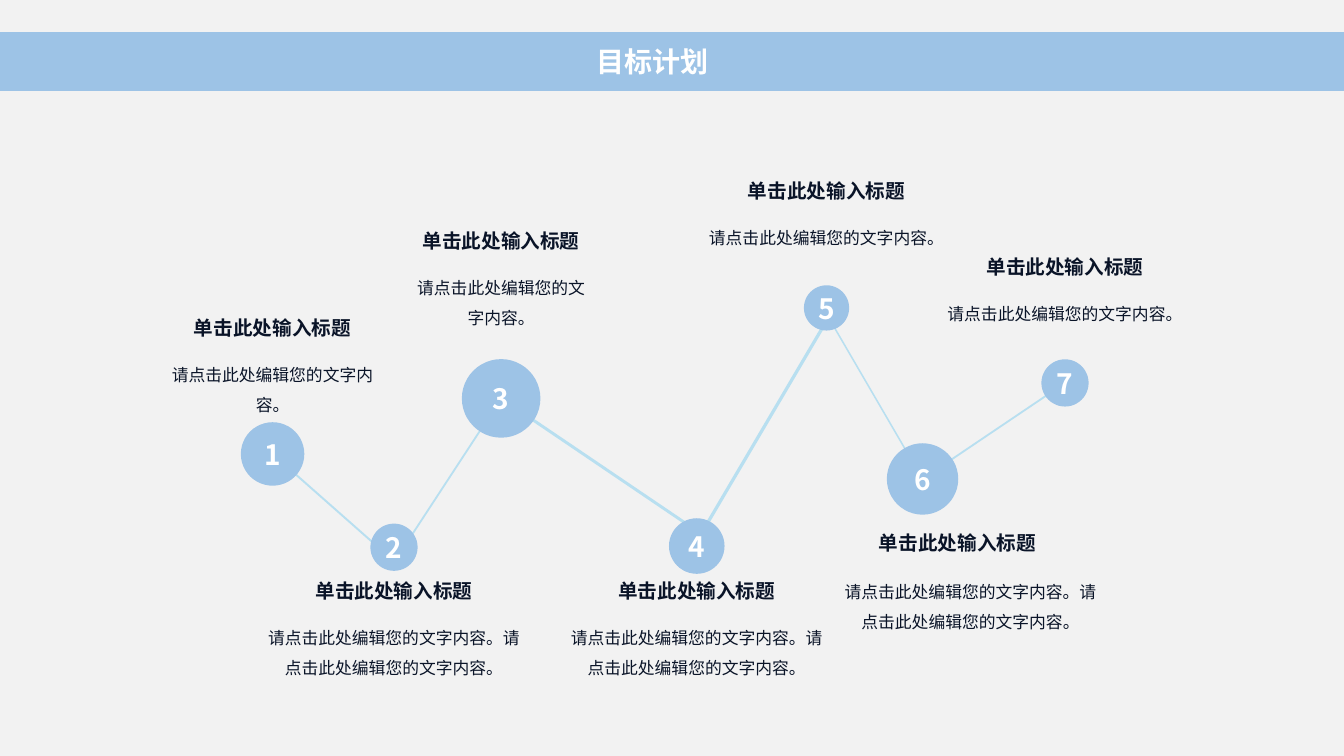
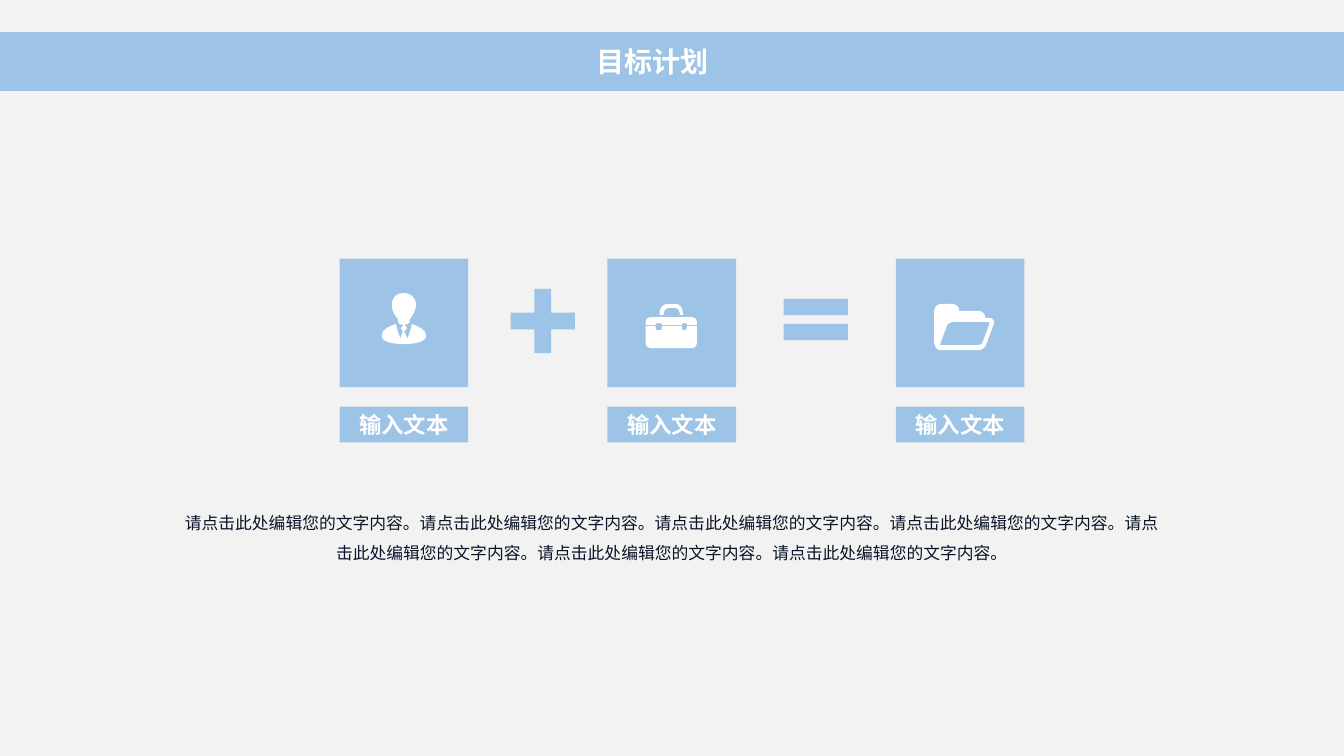
from lxml.etree import SubElement
from pptx import Presentation
from pptx.dml.color import RGBColor
from pptx.enum.shapes import MSO_CONNECTOR, MSO_SHAPE
from pptx.enum.text import MSO_ANCHOR, MSO_AUTO_SIZE, PP_ALIGN
from pptx.oxml.ns import qn
from pptx.util import Cm, Pt

FONT = "Noto Sans CJK SC"
BLUE, PALE_BLUE, INK, WHITE, GREY = "9DC3E6", "B8DFF0", "0A1428", "FFFFFF", "F2F2F2"
WIDTH, HEIGHT = 33.87, 19.05

PAGE_TITLE = "目标计划"
HEADING = "单击此处输入标题"
SENTENCE = "请点击此处编辑您的文字内容。"
LABEL = "输入文本"

HEADING_WIDTH, HEADING_HEIGHT, BODY_DROP = 5.44, 0.86, 0.98
STEPS = [
    {"centre": (6.87, 11.44), "size": 1.6, "top": 7.83, "width": 5.77, "sentences": 1},
    {"centre": (9.93, 13.79), "size": 1.19, "top": 14.46, "width": 7.21, "sentences": 2,
     "joint": (9.94, 14.15)},
    {"centre": (12.63, 10.04), "size": 1.98, "top": 5.64, "width": 5.13, "sentences": 1},
    {"centre": (17.56, 13.76), "size": 1.4, "top": 14.46, "width": 7.21, "sentences": 2,
     "joint": (17.67, 13.45)},
    {"centre": (20.83, 7.76), "size": 1.14, "top": 4.39, "width": 6.96, "sentences": 1,
     "joint": (20.88, 8), "drop": 0.97},
    {"centre": (23.25, 12.07), "size": 1.8, "top": 13.26, "width": 7.16, "sentences": 2,
     "heading_x": 24.13, "body_x": 24.46, "drop": 1.02},
    {"centre": (26.84, 9.65), "size": 1.19, "top": 6.3, "width": 6.96, "sentences": 1,
     "drop": 0.97},
]
LINE_WIDTHS = [1.4, 1.3, 2.1, 2.3, 1.1, 1.3]

TILE, TILE_TOP, LABEL_TOP, LABEL_HEIGHT = 3.24, 6.52, 10.25, 0.9
ICON_GRID = 128

PERSON = [
    [[(58, 63), (58, 64, 60, 66, 64, 66), (67, 66, 69, 64, 70, 63), (69, 62, 69, 61, 70, 60),
      (73, 56, 76, 51, 76, 46), (76, 38, 70, 34, 64, 34), (57, 34, 52, 38, 52, 46),
      (52, 51, 54, 56, 58, 60), (58, 61, 58, 62, 58, 63)]],
    [[(72, 65), (72, 65, 68, 83, 64, 83), (60, 83, 56, 65, 56, 65), (49, 67, 42, 71, 42, 76),
      (42, 77), (42, 83, 53, 85, 64, 85), (74, 85, 86, 83, 86, 77), (86, 76),
      (86, 71, 78, 67, 72, 65)]],
    [[(60, 84), (60, 79, 63, 72, 63, 72), (63, 72, 61, 71, 61, 69), (61, 67, 64, 66, 64, 66),
      (64, 66, 67, 67, 67, 69), (67, 71, 64, 72, 64, 72), (64, 72, 68, 79, 68, 84),
      (68, 85, 60, 84, 60, 84)]],
]
BRIEFCASE = [
    [[(75, 56), (72, 56), (72, 54), (72, 52, 70, 49, 68, 49), (60, 49),
      (58, 49, 56, 52, 56, 54), (56, 56), (52, 56), (52, 54), (52, 49, 55, 45, 60, 45),
      (68, 45), (72, 45, 75, 49, 75, 54)]],
    [[(79, 70), (78, 71), (75, 71), (74, 70), (74, 67), (54, 67), (54, 70), (53, 71),
      (49, 71), (48, 70), (48, 67), (38, 67), (38, 83), (38, 87, 40, 89, 44, 89), (83, 89),
      (87, 89, 89, 87, 89, 83), (89, 67), (79, 67)]],
    [[(83, 58), (44, 58), (40, 58, 38, 60, 38, 64), (38, 66), (48, 66), (48, 65), (49, 64),
      (53, 64), (54, 65), (54, 66), (74, 66), (74, 65), (75, 64), (78, 64), (79, 65),
      (79, 66), (89, 66), (89, 64), (89, 60, 87, 58, 83, 58)]],
]
FOLDER = [
    [[(82, 91), (45, 91), (43, 91, 41, 91, 40, 89), (39, 88, 39, 85, 40, 84), (47, 65),
      (48, 61, 52, 59, 56, 59), (93, 59), (94, 59, 96, 59, 97, 61), (98, 62, 98, 65, 97, 66),
      (90, 85), (89, 89, 85, 91, 82, 91)],
     [(56, 63), (54, 63, 52, 65, 51, 66), (44, 85), (44, 86), (45, 86), (82, 86),
      (83, 86, 85, 85, 86, 84), (93, 65), (93, 63)]],
    [[(41, 88), (40, 86, 41, 85, 42, 84), (50, 65), (52, 62, 53, 60, 57, 60), (86, 60),
      (89, 59), (89, 55, 86, 52, 82, 52), (63, 52), (63, 48, 60, 45, 56, 45), (45, 45),
      (41, 45, 38, 48, 38, 52), (38, 84), (38, 87, 40, 90, 43, 91), (42, 91, 41, 89, 41, 88)]],
]
TILES = [(8.56, PERSON), (15.31, BRIEFCASE), (22.58, FOLDER)]
SIGN_SIZE, PLUS_AT = 1.62, (12.87, 7.28)
EQUALS_LEFT, EQUALS_TOPS, EQUALS_BAR = 19.75, (7.53, 8.16), 0.41


def rgb(code):
    return RGBColor.from_string(code)


def paint(shape, colour):
    shape.shadow.inherit = False
    shape.fill.solid()
    shape.fill.fore_color.rgb = rgb(colour)
    shape.line.fill.background()
    return shape


def add_block(page, kind, left, top, width, height):
    return paint(page.shapes.add_shape(kind, Cm(left), Cm(top), Cm(width), Cm(height)), BLUE)


def write(frame, text, size, colour, bold=True, align=PP_ALIGN.CENTER, spacing=None):
    para = frame.paragraphs[0]
    para.text = text
    para.alignment = align
    para.line_spacing = spacing
    font = para.font
    font.name, font.size, font.bold = FONT, Pt(size), bold
    font.color.rgb = rgb(colour)
    SubElement(para._p.pPr.find(qn("a:defRPr")), qn("a:ea"), typeface=FONT)


def add_text(page, left, top, width, height, text, size, colour, **style):
    box = page.shapes.add_textbox(Cm(left), Cm(top), Cm(width), Cm(height))
    box.text_frame.word_wrap = True
    box.text_frame.auto_size = MSO_AUTO_SIZE.SHAPE_TO_FIT_TEXT
    write(box.text_frame, text, size, colour, **style)


def add_body(page, left, top, width, sentences):
    height = 1.7 if width < 6 or sentences > 1 else 0.98
    add_text(page, left, top, width, height, SENTENCE * sentences, 12, INK,
             bold=False, spacing=1.5)


def add_page(deck):
    page = deck.slides.add_slide(deck.slide_layouts[6])
    add_block(page, MSO_SHAPE.RECTANGLE, -0.08, 0.81, 34.04, 1.48)
    add_text(page, 14.78, 0.99, 4.29, 1.12, PAGE_TITLE, 20, WHITE, align=PP_ALIGN.JUSTIFY)
    return page


def add_line(page, start, end, width):
    line = page.shapes.add_connector(MSO_CONNECTOR.STRAIGHT, *map(Cm, start + end))
    line.line.color.rgb = rgb(PALE_BLUE)
    line.line.width = Pt(width)
    SubElement(line._element.spPr, qn("a:effectLst"))


def add_circle(page, number, centre, size):
    circle = add_block(page, MSO_SHAPE.OVAL, centre[0] - size / 2, centre[1] - size / 2,
                       size, size)
    frame = circle.text_frame
    frame.margin_left = frame.margin_right = Cm(0.18)
    frame.margin_top = frame.margin_bottom = Cm(0.1)
    frame.vertical_anchor = MSO_ANCHOR.MIDDLE
    write(frame, str(number), 20, WHITE)


def points_of(outline):
    unit = Cm(TILE) / ICON_GRID
    return [(part[i] * unit, part[i + 1] * unit)
            for part in outline for i in range(0, len(part), 2)]


def bend(shape, outlines):
    path = shape._element.spPr.find(".//" + qn("a:path"))
    segments = iter(path.findall(qn("a:lnTo")))
    for outline in outlines:
        for part in outline[1:]:
            segment = next(segments)
            if len(part) == 6:
                curve = SubElement(path, qn("a:cubicBezTo"))
                segment.addprevious(curve)
                for piece in (segment, next(segments), next(segments)):
                    curve.append(piece[0])
                    path.remove(piece)


def add_icon(page, left, icon):
    for outlines in icon:
        first, *holes = map(points_of, outlines)
        builder = page.shapes.build_freeform(*first[0])
        builder.add_line_segments(first[1:], close=True)
        for hole in holes:
            builder.move_to(*hole[0])
            builder.add_line_segments(hole[1:], close=True)
        shape = paint(builder.convert_to_shape(Cm(left), Cm(TILE_TOP)), WHITE)
        bend(shape, outlines)


def build_timeline(deck):
    page = add_page(deck)
    joints = [step.get("joint", step["centre"]) for step in STEPS]
    for start, end, width in zip(joints, joints[1:], LINE_WIDTHS):
        add_line(page, start, end, width)
    for number, step in enumerate(STEPS, 1):
        centre, top, width = step["centre"], step["top"], step["width"]
        add_circle(page, number, centre, step["size"])
        heading_left = step.get("heading_x", centre[0]) - HEADING_WIDTH / 2
        add_text(page, heading_left, top, HEADING_WIDTH, HEADING_HEIGHT, HEADING, 14, INK)
        body_left = step.get("body_x", centre[0]) - width / 2
        add_body(page, body_left, top + step.get("drop", BODY_DROP), width, step["sentences"])


def build_equation(deck):
    page = add_page(deck)
    plus = add_block(page, MSO_SHAPE.CROSS, *PLUS_AT, SIGN_SIZE, SIGN_SIZE)
    plus.adjustments[0] = 0.37
    for top in EQUALS_TOPS:
        add_block(page, MSO_SHAPE.RECTANGLE, EQUALS_LEFT, top, SIGN_SIZE, EQUALS_BAR)
    for left, icon in TILES:
        add_block(page, MSO_SHAPE.RECTANGLE, left, TILE_TOP, TILE, TILE)
        add_icon(page, left, icon)
        label = add_block(page, MSO_SHAPE.RECTANGLE, left, LABEL_TOP, TILE, LABEL_HEIGHT)
        label.text_frame.vertical_anchor = MSO_ANCHOR.MIDDLE
        write(label.text_frame, LABEL, 16, WHITE)
    add_body(page, 4.36, 12.54, 25.15, 7)


def main():
    deck = Presentation()
    deck.slide_width, deck.slide_height = Cm(WIDTH), Cm(HEIGHT)
    backdrop = deck.slide_master.background.fill
    backdrop.solid()
    backdrop.fore_color.rgb = rgb(GREY)
    build_timeline(deck)
    build_equation(deck)
    deck.save("out.pptx")


if __name__ == "__main__":
    main()
